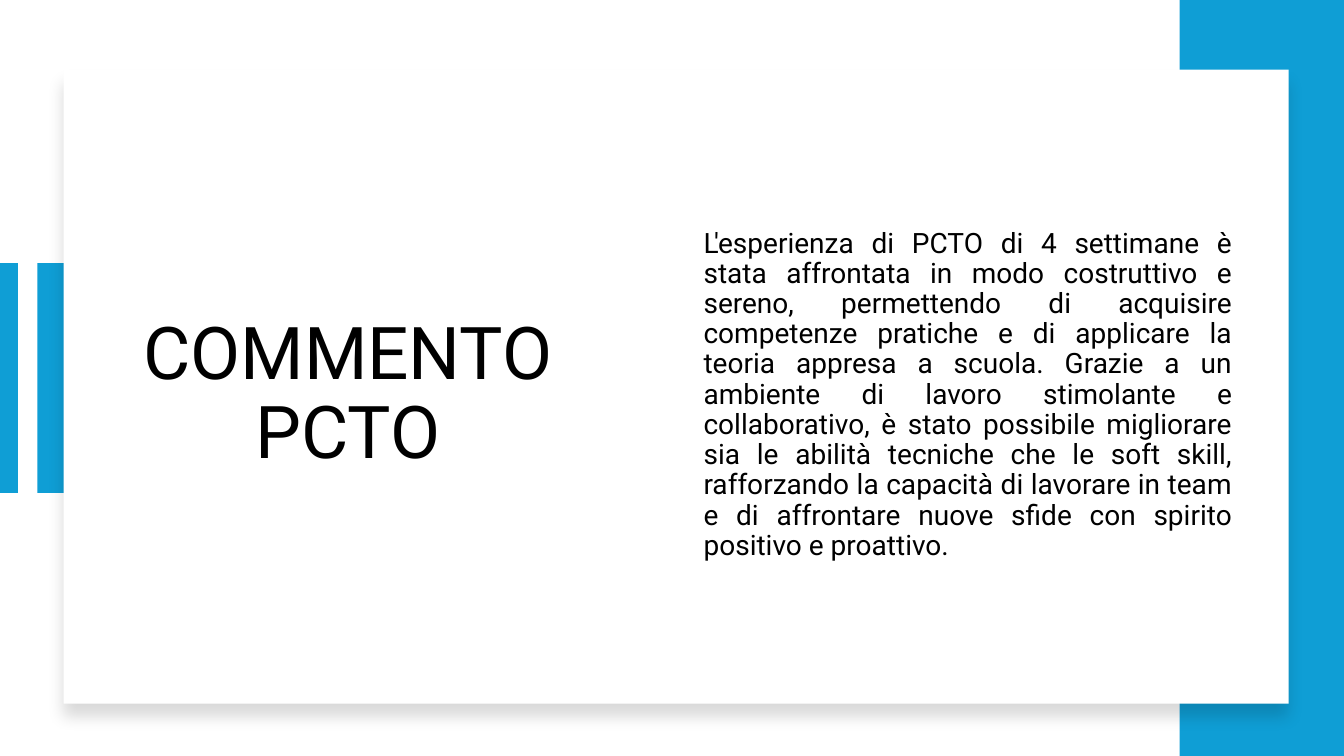
import pptx
import pptx.dml.color
import pptx.enum.shapes
import pptx.enum.text
import pptx.oxml
import pptx.oxml.ns
import pptx.util

Inches = pptx.util.Inches
Pt = pptx.util.Pt
RGBColor = pptx.dml.color.RGBColor
Align = pptx.enum.text.PP_ALIGN

BLUE = RGBColor(0x0F, 0x9E, 0xD5)
WHITE = RGBColor(0xFF, 0xFF, 0xFF)
BLACK = RGBColor(0x00, 0x00, 0x00)
FONT = "Roboto"

TITLE = "COMMENTO PCTO"
COMMENT = (
    "L'esperienza di PCTO di 4 settimane è stata affrontata in modo costruttivo "
    "e sereno, permettendo di acquisire competenze pratiche e di applicare la "
    "teoria appresa a scuola. Grazie a un ambiente di lavoro stimolante e "
    "collaborativo, è stato possibile migliorare sia le abilità tecniche che le "
    "soft skill, rafforzando la capacità di lavorare in team e di affrontare "
    "nuove sfide con spirito positivo e proattivo."
)

SLIDE_WIDTH, SLIDE_HEIGHT = 13.33, 7.5
ACCENT_TOP, ACCENT_HEIGHT = 2.61, 2.28
STRIPE_X = 0.08
BAND_WIDTH = 1.63
TEXT_TOP, TEXT_HEIGHT = 1.36, 5.12

PANELS = [
    (0.37, ACCENT_TOP, 0.34, ACCENT_HEIGHT, BLUE),
    (SLIDE_WIDTH - BAND_WIDTH, 0, BAND_WIDTH, SLIDE_HEIGHT, BLUE),
    (0.63, 0.69, 12.15, 6.29, WHITE),
]
TEXTS = [
    (TITLE, 1.26, 4.38, 52, Align.CENTER, 0),
    (COMMENT, 6.88, 5.44, 20, Align.JUSTIFY, 10),
]
CARD_SHADOW = (
    f'<a:effectLst {pptx.oxml.ns.nsdecls("a")}>'
    f'<a:outerShdw blurRad="{Pt(11)}" dist="{Pt(10)}" dir="5400000" '
    'algn="t" rotWithShape="0"><a:srgbClr val="000000">'
    '<a:alpha val="15000"/></a:srgbClr></a:outerShdw></a:effectLst>'
)
NO_EFFECTS = f'<a:effectLst {pptx.oxml.ns.nsdecls("a")}/>'


def add_panel(slide, left, top, width, height, color):
    panel = slide.shapes.add_shape(
        pptx.enum.shapes.MSO_SHAPE.RECTANGLE,
        Inches(left), Inches(top), Inches(width), Inches(height),
    )
    panel.fill.solid()
    panel.fill.fore_color.rgb = color
    panel.line.fill.background()
    if color == WHITE:
        panel._element.spPr.append(pptx.oxml.parse_xml(CARD_SHADOW))
    else:
        panel.shadow.inherit = False


def add_stripe(slide):
    stripe = slide.shapes.add_connector(
        pptx.enum.shapes.MSO_CONNECTOR.STRAIGHT,
        Inches(STRIPE_X), Inches(ACCENT_TOP),
        Inches(STRIPE_X), Inches(ACCENT_TOP + ACCENT_HEIGHT),
    )
    stripe.line.color.rgb = BLUE
    stripe.line.width = Pt(14)
    stripe._element.spPr.append(pptx.oxml.parse_xml(NO_EFFECTS))


def add_text(slide, wording, left, width, size, alignment, space_before):
    frame = slide.shapes.add_textbox(
        Inches(left), Inches(TEXT_TOP), Inches(width), Inches(TEXT_HEIGHT)
    ).text_frame
    frame.word_wrap = True
    frame.vertical_anchor = pptx.enum.text.MSO_ANCHOR.MIDDLE
    paragraph = frame.paragraphs[0]
    paragraph.alignment = alignment
    paragraph.line_spacing = 0.9
    paragraph.space_before = Pt(space_before)
    run = paragraph.add_run()
    run.text = wording
    run.font.name = FONT
    run.font.size = Pt(size)
    run.font.color.rgb = BLACK


def main():
    deck = pptx.Presentation()
    deck.slide_width = Inches(SLIDE_WIDTH)
    deck.slide_height = Inches(SLIDE_HEIGHT)
    slide = deck.slides.add_slide(deck.slide_layouts[6])
    add_stripe(slide)
    for panel in PANELS:
        add_panel(slide, *panel)
    for text in TEXTS:
        add_text(slide, *text)
    deck.save("out.pptx")


if __name__ == "__main__":
    main()
